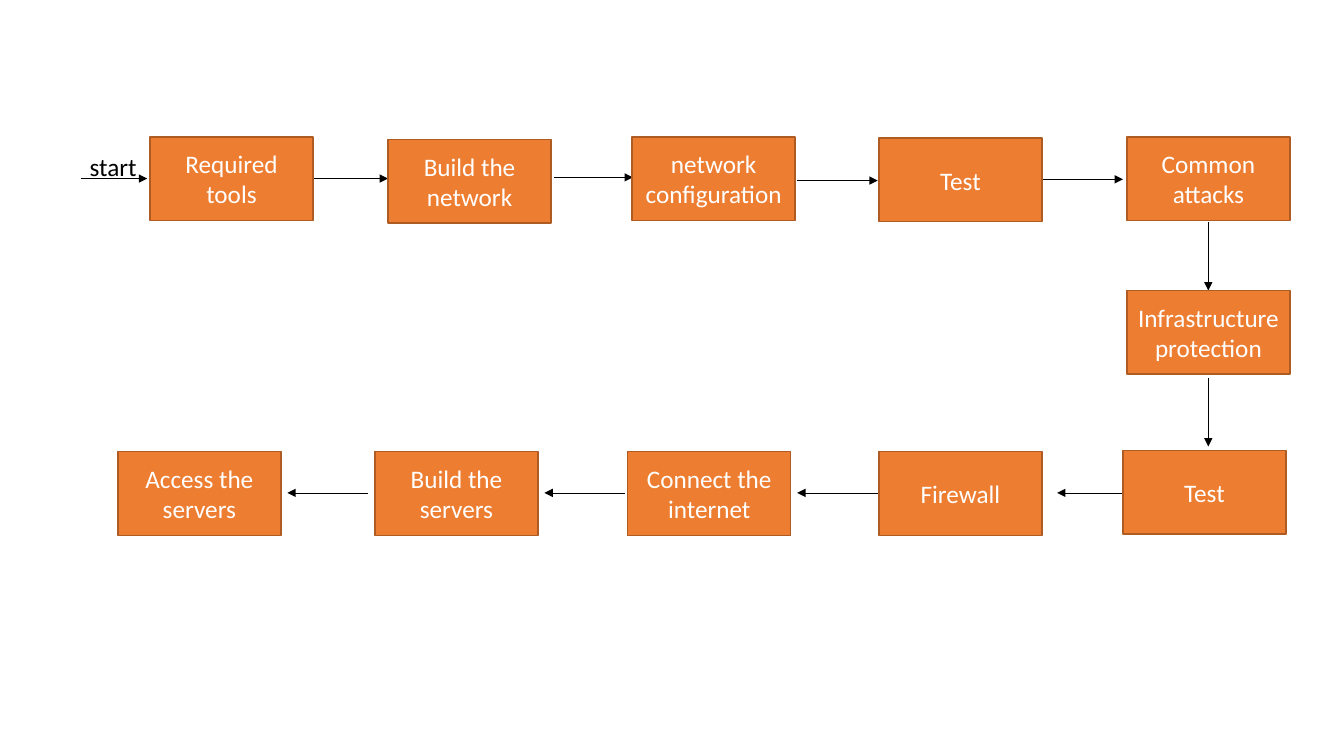
from lxml import etree
from pptx import Presentation
from pptx.dml.color import RGBColor
from pptx.enum import shapes, text
from pptx.oxml.ns import qn
from pptx.util import Cm, Pt

# Each step: label, left and top of its box, arrow start, arrow end (cm)
STEPS = [
    ("Required tools", (3.78, 3.45), (2.03, 4.5), (3.71, 4.5)),
    ("Build the network", (9.78, 3.51), (7.9, 4.5), (9.78, 4.5)),
    ("network configuration", (15.93, 3.45), (13.97, 4.47), (15.95, 4.47)),
    ("Test", (22.15, 3.48), (20.09, 4.55), (22.12, 4.55)),
    ("Common attacks", (28.4, 3.45), (26.29, 4.52), (28.3, 4.52)),
    ("Infrastructure protection", (28.4, 7.32), (30.45, 5.59), (30.45, 7.32)),
    ("Test", (28.3, 11.35), (30.45, 9.53), (30.45, 11.25)),
    ("Firewall", (22.15, 11.38), (28.68, 12.42), (26.64, 12.42)),
    ("Connect the internet", (15.82, 11.38), (22.12, 12.42), (20.09, 12.42)),
    ("Build the servers", (9.45, 11.38), (15.75, 12.42), (13.72, 12.42)),
    ("Access the servers", (2.97, 11.38), (9.27, 12.42), (7.24, 12.42)),
]
START_LABEL = ("start", (2.01, 3.68), (1.7, 1.02))
BOX_SIZE = (4.11, 2.11)
FONT = {"name": "Calibri", "size": Pt(18)}
ORANGE, BROWN, BLACK, WHITE = "ED7D31", "AF5C24", "000000", "FFFFFF"


def paint(color_format, color):
    color_format.rgb = RGBColor.from_string(color)


def lengths(*points):
    return [Cm(value) for point in points for value in point]


def write(shape, label, color, alignment):
    paragraph = shape.text_frame.paragraphs[0]
    paragraph.alignment = alignment
    run = paragraph.add_run()
    run.text = label
    for name, value in FONT.items():
        setattr(run.font, name, value)
    paint(run.font.color, color)


def add_arrow(slide, start, end):
    arrow = slide.shapes.add_connector(
        shapes.MSO_CONNECTOR.STRAIGHT, *lengths(start, end))
    paint(arrow.line.color, BLACK)
    arrow.line.width = Pt(0.5)
    etree.SubElement(arrow.line._get_or_add_ln(), qn("a:tailEnd"), type="triangle")
    etree.SubElement(arrow._element.spPr, qn("a:effectLst"))


def add_box(slide, label, corner):
    box = slide.shapes.add_shape(
        shapes.MSO_SHAPE.RECTANGLE, *lengths(corner, BOX_SIZE))
    box.shadow.inherit = False
    box.fill.solid()
    paint(box.fill.fore_color, ORANGE)
    paint(box.line.color, BROWN)
    box.line.width = Pt(1)
    box.text_frame.word_wrap = True
    box.text_frame.vertical_anchor = text.MSO_ANCHOR.MIDDLE
    write(box, label, WHITE, text.PP_ALIGN.CENTER)


def add_label(slide, label, corner, size):
    label_box = slide.shapes.add_textbox(*lengths(corner, size))
    label_box.text_frame.word_wrap = False
    label_box.text_frame.auto_size = text.MSO_AUTO_SIZE.SHAPE_TO_FIT_TEXT
    write(label_box, label, BLACK, text.PP_ALIGN.LEFT)


def main():
    presentation = Presentation()
    presentation.slide_width, presentation.slide_height = Cm(33.87), Cm(19.05)
    slide = presentation.slides.add_slide(presentation.slide_layouts[6])
    for label, corner, start, end in STEPS:
        add_arrow(slide, start, end)
    for label, corner, start, end in STEPS:
        add_box(slide, label, corner)
    add_label(slide, *START_LABEL)
    presentation.save("out.pptx")


if __name__ == "__main__":
    main()
